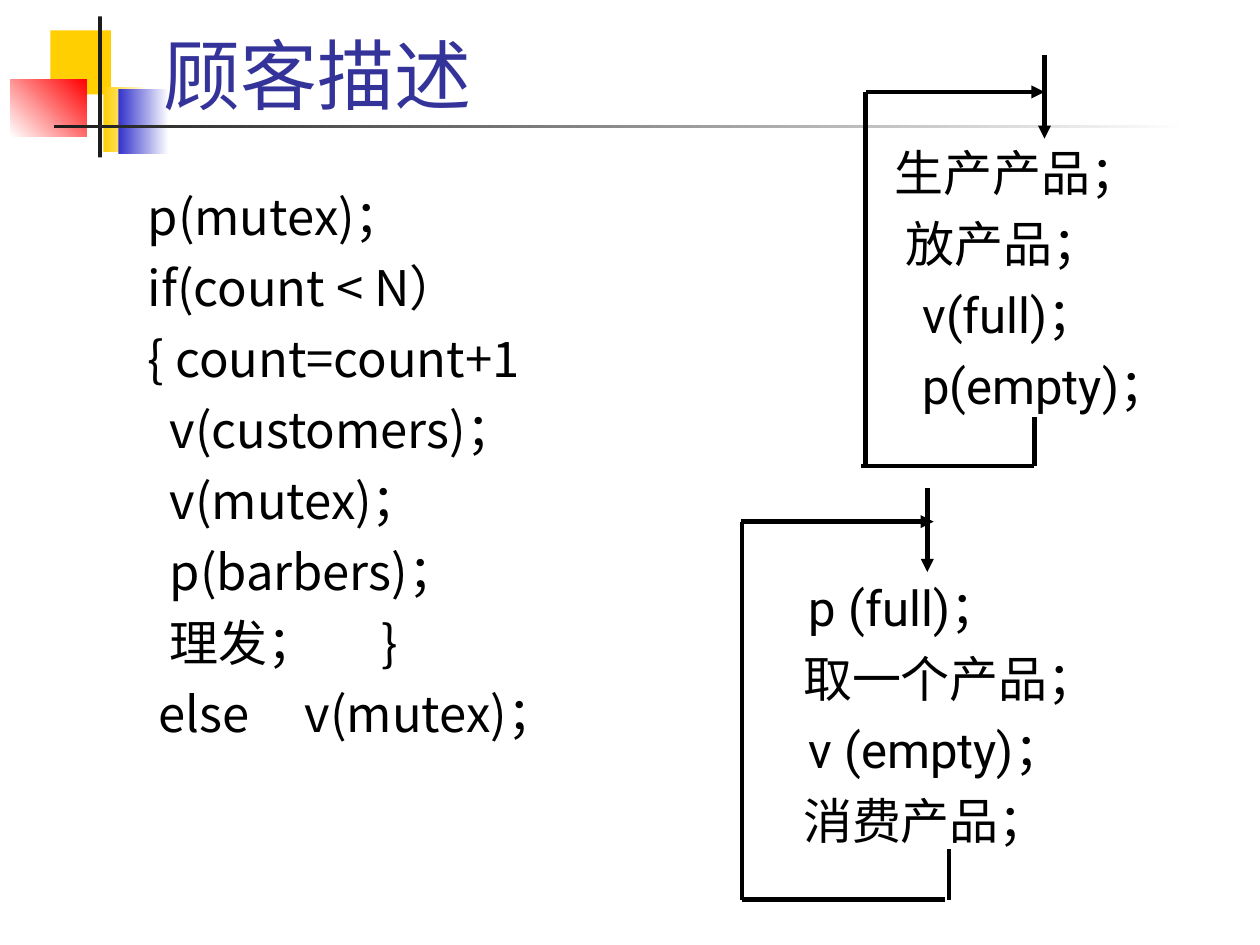
import pptx
import pptx.dml.color
import pptx.enum.shapes
import pptx.enum.text
import pptx.oxml
import pptx.oxml.ns
import pptx.util
from pptx.util import Inches

RGBColor = pptx.dml.color.RGBColor
BLACK = RGBColor(0x00, 0x00, 0x00)
WHITE = RGBColor(0xFF, 0xFF, 0xFF)
CHARCOAL = RGBColor(0x1C, 0x1C, 0x1C)
YELLOW = RGBColor(0xFF, 0xCF, 0x01)
BLUE = RGBColor(0x33, 0x33, 0xCC)
RED = RGBColor(0xFF, 0x00, 0x00)
INDIGO = RGBColor(0x33, 0x33, 0x99)
LATIN_FONT = "Roboto"
CHINESE_FONT = "Noto Sans CJK SC"

# left, top, width, height, colours, gradient angle
DECORATION = [
    (0.4, 0.24, 0.48, 0.51, [YELLOW], 0),
    (0.82, 0.69, 0.36, 0.52, [YELLOW, WHITE], 0),
    (0.94, 0.71, 0.4, 0.51, [BLUE, WHITE], 0),
    (0.08, 0.63, 0.61, 0.45, [WHITE, RED], 45),
    (0.78, 0.13, 0.03, 1.12, [CHARCOAL], 0),
    (0.43, 0.99, 9, 0.03, [CHARCOAL, WHITE], 0),
]

# Code lines, each with the tab stop it uses, if any
CUSTOMER_CODE = [
    ("  p(mutex)；", None),
    ("  if(count < N）", None),
    ("  { count=count+1", None),
    ("    v(customers)；", None),
    ("    v(mutex)；", None),
    ("    p(barbers)；", None),
    ("    理发；\t}", 2.03),
    ("   else\tv(mutex)；", 1.42),
]
PRODUCER_CODE = [
    ("   生产产品；", None),
    ("    放产品；", None),
    ("     v(full)；", None),
    ("     p(empty)；", None),
]
CONSUMER_CODE = [
    ("     p (full)；", None),
    ("     取一个产品；", None),
    ("     v (empty)；", None),
    ("     消费产品；", None),
]

# start x, start y, end x, end y, has arrowhead
PRODUCER_LOOP = [
    (8.29, 0.44, 8.29, 1.1, True),
    (8.21, 3.31, 8.21, 3.7, False),
    (8.21, 3.7, 6.83, 3.7, False),
    (6.87, 3.68, 6.87, 0.73, False),
    (6.87, 0.73, 8.29, 0.73, True),
]
CONSUMER_LOOP = [
    (7.36, 3.87, 7.36, 4.54, True),
    (7.53, 6.74, 7.53, 7.14, False),
    (7.5, 7.14, 5.89, 7.14, False),
    (5.89, 7.14, 5.89, 4.14, False),
    (5.88, 4.14, 7.41, 4.14, True),
]


def add_child(parent, tag, **attributes):
    child = pptx.oxml.parse_xml(f"<{tag} {pptx.oxml.ns.nsdecls('a')}/>")
    for key, value in attributes.items():
        child.set(key, str(value))
    parent.append(child)
    return child


def add_block(slide, left, top, width, height, colors, angle):
    """Add a borderless rectangle, shaded when two colours are given."""
    block = slide.shapes.add_shape(
        pptx.enum.shapes.MSO_SHAPE.RECTANGLE,
        Inches(left), Inches(top), Inches(width), Inches(height))
    block.shadow.inherit = False
    block.line.fill.background()
    if len(colors) == 1:
        block.fill.solid()
        block.fill.fore_color.rgb = colors[0]
        return
    block.fill.gradient()
    block.fill.gradient_angle = angle
    for position, (stop, color) in enumerate(zip(block.fill.gradient_stops, colors)):
        stop.position = position
        stop.color.rgb = color


def add_frame(slide, left, top, width, height):
    frame = slide.shapes.add_textbox(
        Inches(left), Inches(top), Inches(width), Inches(height)).text_frame
    frame.word_wrap = True
    return frame


def add_run(paragraph, text, font_name, size, color):
    run = paragraph.add_run()
    run.text = text
    run.font.size = pptx.util.Pt(size)
    run.font.color.rgb = color
    run.font.name = font_name
    add_child(run.font._element, "a:ea", typeface=CHINESE_FONT)


def add_title(slide, text):
    frame = add_frame(slide, 1.2, 0.17, 8.52, 0.83)
    frame.vertical_anchor = pptx.enum.text.MSO_ANCHOR.BOTTOM
    add_run(frame.paragraphs[0], text, LATIN_FONT, 44, INDIGO)


def add_code(slide, place, lines, font_name, top_margin):
    frame = add_frame(slide, *place)
    frame.margin_top = Inches(top_margin)
    for index, (text, tab_stop) in enumerate(lines):
        paragraph = frame.add_paragraph() if index else frame.paragraphs[0]
        if tab_stop:
            tabs = add_child(paragraph._p.get_or_add_pPr(), "a:tabLst")
            add_child(tabs, "a:tab", pos=Inches(tab_stop), algn="l")
        paragraph.alignment = pptx.enum.text.PP_ALIGN.JUSTIFY
        paragraph.line_spacing = pptx.util.Pt(33.6)
        if index:
            paragraph.space_before = pptx.util.Pt(7)
        add_run(paragraph, text, font_name, 28, BLACK)


def add_loop(slide, segments):
    for start_x, start_y, end_x, end_y, has_arrow in segments:
        segment = slide.shapes.add_connector(
            pptx.enum.shapes.MSO_CONNECTOR.STRAIGHT,
            Inches(start_x), Inches(start_y), Inches(end_x), Inches(end_y))
        segment.line.color.rgb = BLACK
        segment.line.width = pptx.util.Pt(2.5)
        if has_arrow:
            add_child(segment.line._get_or_add_ln(), "a:tailEnd", type="triangle")
        add_child(segment._element.spPr, "a:effectLst")


def main():
    presentation = pptx.Presentation()
    presentation.slide_width = Inches(10)
    presentation.slide_height = Inches(7.5)
    slide = presentation.slides.add_slide(presentation.slide_layouts[6])

    for block in DECORATION:
        add_block(slide, *block)
    add_title(slide, "顾客描述")
    add_code(slide, (0.9, 1.39, 4.65, 4.82), CUSTOMER_CODE, CHINESE_FONT, 0.09)
    add_code(slide, (6.74, 0.98, 2.97, 2.64), PRODUCER_CODE, LATIN_FONT, 0.15)
    add_code(slide, (5.84, 4.49, 3.23, 2.64), CONSUMER_CODE, LATIN_FONT, 0.09)
    add_loop(slide, PRODUCER_LOOP)
    add_loop(slide, CONSUMER_LOOP)

    presentation.save("out.pptx")


if __name__ == "__main__":
    main()
